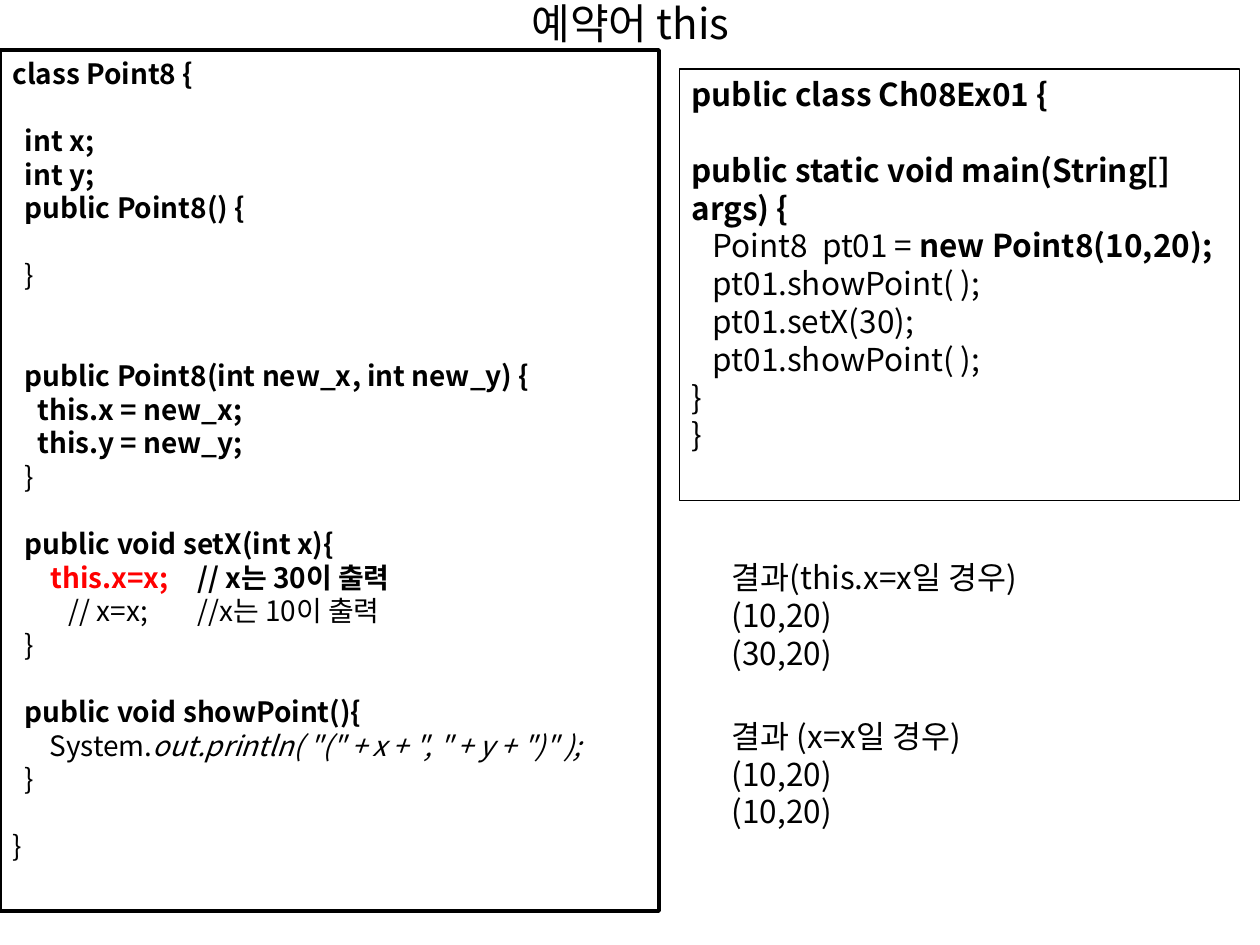
from pptx import Presentation
from pptx import util as u
from pptx.dml.color import RGBColor
from pptx.enum import shapes, text
from pptx.oxml import parse_xml
from pptx.oxml.ns import nsdecls

W, H = 10, 7.5
FONT = "Noto Sans CJK KR"
STYLES = {
    "plain": {"bold": False},
    "bold": {"bold": True},
    "red": {"bold": True},
    "italic": {"bold": False, "italic": True},
}


def rgb(value):
    return RGBColor.from_string(value)


def plain(*lines):
    return [(0, [("plain", line)]) for line in lines]


def bold(*lines, gap=0):
    """Bold lines; gap is the number of line heights left above the first."""
    return [(0 if i else gap, [("bold", line)]) for i, line in enumerate(lines)]


class Deck:
    """Holds the style and the current slide; boxes are shares of its size."""

    def __init__(self):
        self.prs = Presentation()
        self.prs.slide_width, self.prs.slide_height = u.Inches(W), u.Inches(H)
        self.ink, self.accent = "000000", "FF0000"
        self.s = self.prs.slides.add_slide(self.prs.slide_layouts[6])

    def place(self, box):
        return [u.Inches(share * side) for share, side in zip(box, (W, H, W, H))]

    def run(self, p, size, style, content):
        r = p.add_run()
        r.text = content
        color = self.accent if style == "red" else self.ink
        for name, value in {"name": FONT, "size": u.Pt(size), **STYLES[style]}.items():
            setattr(r.font, name, value)
        r.font.color.rgb = rgb(color)
        rpr = r._r.get_or_add_rPr()
        rpr.append(parse_xml(f'<a:ea {nsdecls("a")} typeface="{FONT}"/>'))

    def title(self, box, content, size=24):
        tf = self.s.shapes.add_textbox(*self.place(box)).text_frame
        tf.word_wrap = True
        tf.vertical_anchor = text.MSO_ANCHOR.MIDDLE
        p = tf.paragraphs[0]
        p.alignment = text.PP_ALIGN.CENTER
        self.run(p, size, "plain", content)

    def panel(self, box, lines, size, line="000000", weight=0.75, tab=None):
        """Outlined box of lines, each one (gap above in lines, runs)."""
        sp = self.s.shapes.add_shape(shapes.MSO_SHAPE.RECTANGLE, *self.place(box))
        sp.shadow.inherit = False
        sp.fill.background()
        sp.line.color.rgb = rgb(line)
        sp.line.width = u.Pt(weight)
        tf = sp.text_frame
        tf.word_wrap = True
        tf.vertical_anchor = text.MSO_ANCHOR.TOP
        pitch = 1.2 * size
        for i, (gap, runs) in enumerate(lines):
            p = tf.add_paragraph() if i else tf.paragraphs[0]
            p.alignment = text.PP_ALIGN.LEFT
            p.line_spacing = u.Pt(pitch)
            if gap:
                p.space_before = u.Pt(gap * pitch)
            if tab and any("\t" in content for _, content in runs):
                p._p.get_or_add_pPr().append(parse_xml(
                    f'<a:tabLst {nsdecls("a")}>'
                    f'<a:tab pos="{u.Inches(tab)}" algn="l"/></a:tabLst>'))
            for style, content in runs:
                self.run(p, size, style, content)


POINT_CLASS = [
    *bold("class Point8 {"),
    *bold("  int x;", "  int y;", "  public Point8() {", gap=1),
    (1, [("plain", "  }")]),
    *bold("  public Point8(int new_x, int new_y) {",
          "    this.x = new_x;", "    this.y = new_y;", gap=2),
    *plain("  }"),
    *bold("  public void setX(int x){", gap=1),
    (0, [("red", "      this.x=x;\t"), ("bold", "// x는 30이 출력")]),
    *plain("         // x=x;\t//x는 10이 출력", "  }"),
    *bold("  public void showPoint(){", gap=1),
    (0, [("plain", "      System."),
         ("italic", 'out.println( "(" + x + ", " + y + ")" );')]),
    *plain("  }"),
    (1, [("plain", "}")]),
]
MAIN_CLASS = [
    *bold("public class Ch08Ex01 {"),
    *bold("public static void main(String[] args) {", gap=1),
    (0, [("plain", "   Point8  pt01 = "), ("bold", "new Point8(10,20);")]),
    *plain("   pt01.showPoint( );", "   pt01.setX(30);", "   pt01.showPoint( );",
           "}", "}"),
]
RESULTS = [
    ("결과(this.x=x일 경우)", "(10,20)", "(30,20)"),
    ("결과 (x=x일 경우)", "(10,20)", "(10,20)"),
]


def main():
    deck = Deck()
    deck.title((0.027, -0.06, 0.947, 0.167), "예약어 this")
    deck.panel((0, 0.053, 0.523, 0.911), POINT_CLASS, 16, weight=2.25, tab=1.47)
    for i, lines in enumerate(RESULTS):
        deck.panel((0.571, 0.584 + i * 0.168, 0.281, 0.135), plain(*lines), 18,
                   line="FFFFFF")
    deck.panel((0.539, 0.073, 0.445, 0.457), MAIN_CLASS, 18)
    deck.prs.save("out.pptx")


if __name__ == "__main__":
    main()
